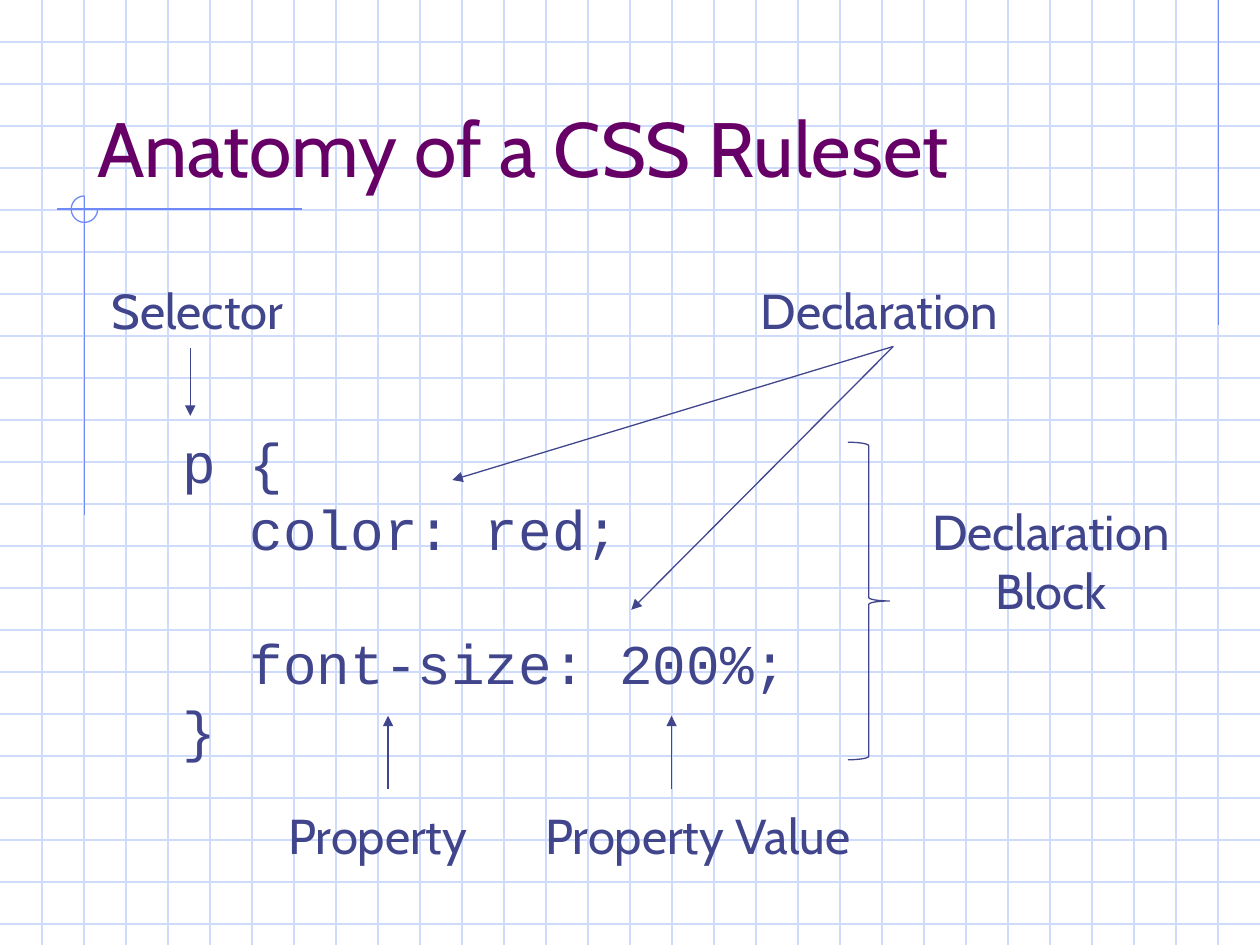
from pptx import Presentation
from pptx.dml.color import RGBColor
from pptx.enum.shapes import MSO_CONNECTOR, MSO_SHAPE
from pptx.enum.text import MSO_ANCHOR, MSO_AUTO_SIZE, PP_ALIGN
from pptx.oxml.ns import qn
from pptx.util import Inches, Pt
from lxml import etree

STRAIGHT = MSO_CONNECTOR.STRAIGHT
ARC, RIGHT_BRACE = MSO_SHAPE.ARC, MSO_SHAPE.RIGHT_BRACE
LEFT, CENTER = PP_ALIGN.LEFT, PP_ALIGN.CENTER
BOTTOM = MSO_ANCHOR.BOTTOM
NO_AUTOFIT = MSO_AUTO_SIZE.NONE

GRID = RGBColor(0xCF, 0xDB, 0xFD)
ACCENT = RGBColor(0x6F, 0x89, 0xF7)
PLUM = RGBColor(0x66, 0x00, 0x66)
INDIGO = RGBColor(0x40, 0x45, 0x8C)
BODY_FONT, CODE_FONT = "Cabin", "Courier New"

WIDTH, HEIGHT = 10, 7.5
GRID_CELLS_PER_INCH = 3
CODE_LINE = Pt(38.4)
CODE_INDENT = Pt(38.4)  # two monospaced characters at 32 pt


def add_line(slide, start, end, color, arrow=False):
    line = slide.shapes.add_connector(
        STRAIGHT, *(Inches(v) for v in (*start, *end)))
    line.line.color.rgb = color
    line.line.width = Pt(0.75)
    properties = line._element.spPr
    if arrow:
        etree.SubElement(properties.find(qn("a:ln")), qn("a:tailEnd"),
                         type="triangle")
    etree.SubElement(properties, qn("a:effectLst"))
    return line


def add_outline(slide, preset, box, color):
    outline = slide.shapes.add_shape(preset, *(Inches(v) for v in box))
    outline.shadow.inherit = False
    outline.fill.background()
    outline.line.color.rgb = color
    outline.line.width = Pt(0.75)
    return outline


def format_text(frame, font, size, color, alignment=LEFT):
    for paragraph in frame.paragraphs:
        paragraph.alignment = alignment
        for run in paragraph.runs:
            run.font.name = font
            run.font.size = Pt(size)
            run.font.color.rgb = color


def add_text(slide, text, box, font=BODY_FONT, size=28, alignment=LEFT):
    holder = slide.shapes.add_textbox(*(Inches(v) for v in box))
    frame = holder.text_frame
    frame.word_wrap = True
    frame.text = text
    format_text(frame, font, size, INDIGO, alignment)
    return holder


def add_graph_paper(slide, width, height):
    for step in range(1, int(height * GRID_CELLS_PER_INCH) + 1):
        y = step / GRID_CELLS_PER_INCH
        add_line(slide, (0, y), (width, y), GRID)
    for step in range(1, width * GRID_CELLS_PER_INCH):
        x = step / GRID_CELLS_PER_INCH
        add_line(slide, (x, 0), (x, height), GRID)


def add_title_ornament(slide, x, y):
    """Draw the crossing lines and three-quarter circle around (x, y)."""
    radius = 0.105
    add_line(slide, (x + 1.73, y), (x - 0.22, y), ACCENT)
    add_line(slide, (x, y - radius), (x, y + 2.43), ACCENT)
    circle = add_outline(
        slide, ARC, (x - radius, y - radius, 2 * radius, 2 * radius), ACCENT)
    circle.adjustments[0] = 0
    circle.adjustments[1] = 162  # 270 degrees


def add_title(slide, text, box):
    title = slide.shapes.title
    title.left, title.top, title.width, title.height = map(Inches, box)
    frame = title.text_frame
    frame.text = text
    frame.vertical_anchor = BOTTOM
    frame.auto_size = NO_AUTOFIT
    format_text(frame, BODY_FONT, 44, PLUM)
    # Bring the title in front of the graph paper.
    title._element.getparent().append(title._element)


def add_ruleset(slide, box):
    code = add_text(slide, "p {\ncolor: red;\nfont-size: 200%;\n}", box,
                    CODE_FONT, 32)
    frame = code.text_frame
    frame.margin_top = Inches(0.09)
    frame.margin_right = 0
    for paragraph in frame.paragraphs:
        paragraph.line_spacing = CODE_LINE
    color_rule, size_rule = frame.paragraphs[1:3]
    for rule in (color_rule, size_rule):
        rule._p.get_or_add_pPr().set("marL", str(CODE_INDENT))
    size_rule.space_before = CODE_LINE


def add_annotations(slide, left, top):
    """Label the parts of the ruleset whose box starts at (left, top)."""
    def at(x, y):
        return left + x, top + y

    label_height = 0.57
    add_text(slide, "Selector", (*at(-0.56, -1.12), 1.67, label_height))
    add_line(slide, at(0.16, -0.54), at(0.16, 0), INDIGO, arrow=True)

    declaration = add_text(slide, "Declaration",
                           (*at(4.59, -1.12), 2.3, label_height))
    for target in (at(2.24, 0.51), at(3.66, 1.54)):
        pointer = add_line(slide, at(5.73, -0.54), target, INDIGO, arrow=True)
        pointer.begin_connect(declaration, 2)

    add_outline(slide, RIGHT_BRACE, (*at(5.38, 0.21), 0.33, 2.52), INDIGO)
    add_text(slide, "Declaration\nBlock", (*at(5.84, 0.63), 2.3, 1.04),
             alignment=CENTER)

    for text, x, width, arrow_x in (("Property", 0.84, 1.78, 1.73),
                                    ("Property Value", 2.88, 2.9, 3.98)):
        add_line(slide, at(arrow_x, 2.96), at(arrow_x, 2.38), INDIGO,
                 arrow=True)
        add_text(slide, text, (*at(x, 3.04), width, label_height))


def main():
    prs = Presentation()
    prs.slide_width, prs.slide_height = Inches(WIDTH), Inches(HEIGHT)
    slide = prs.slides.add_slide(prs.slide_layouts[5])
    add_graph_paper(slide, WIDTH, HEIGHT)
    add_line(slide, (9.67, 0), (9.67, 2.58), ACCENT)
    add_title_ornament(slide, 0.67, 1.66)
    add_title(slide, "Anatomy of a CSS Ruleset", (0.67, 0.33, 8.5, 1.25))
    add_ruleset(slide, (1.35, 3.3, 5, 2.77))
    add_annotations(slide, 1.35, 3.3)
    prs.save("out.pptx")


if __name__ == "__main__":
    main()
